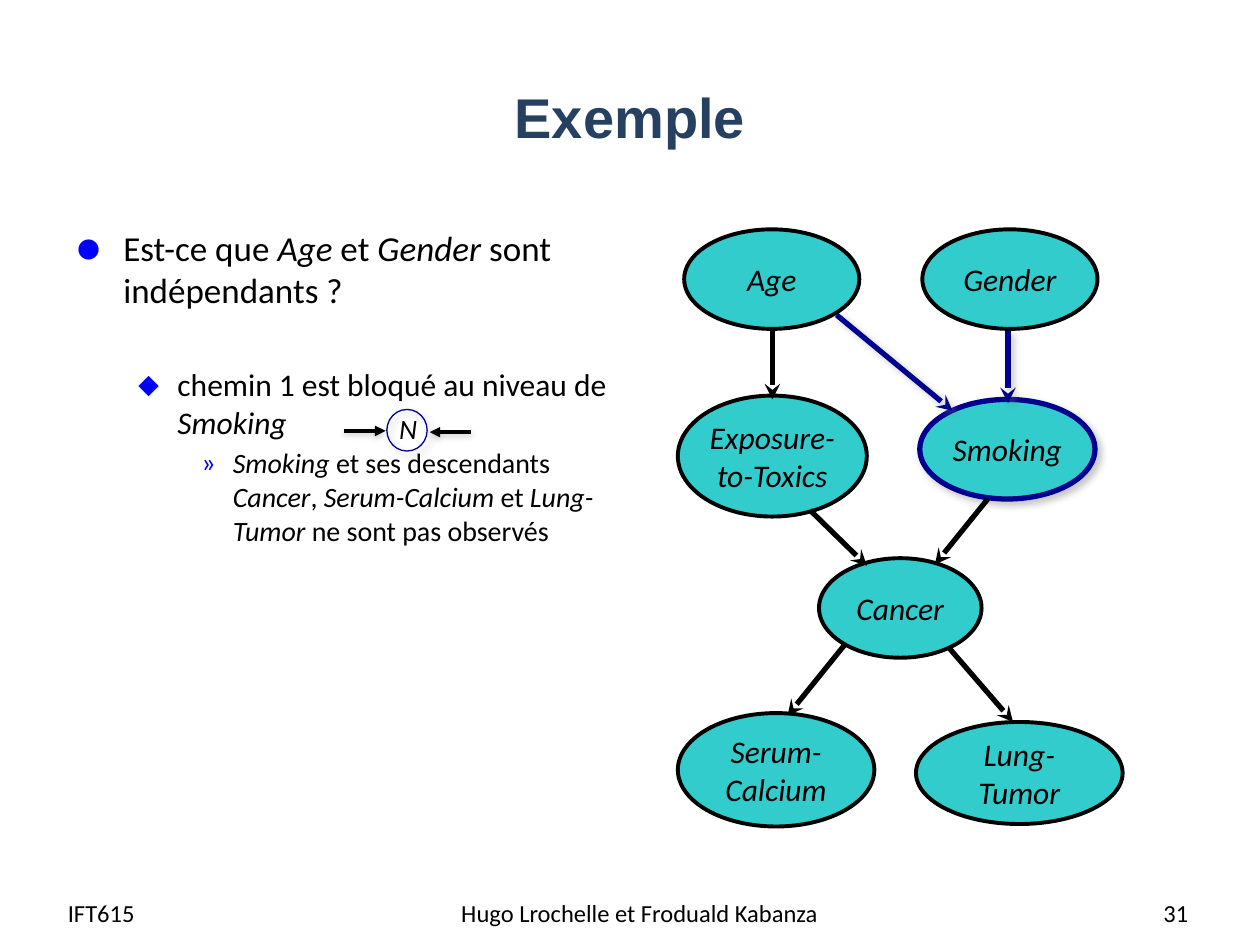
import dataclasses

import lxml.etree
import pptx
import pptx.dml.color
import pptx.enum.shapes
import pptx.enum.text
import pptx.oxml.ns
import pptx.util

COLORS = {"text": "000000", "title": "254061", "bullet": "0000FF", "node": "33CCCC",
          "edge": "000000", "path": "000090", "shadow": "808080"}
COLUMNS, ROWS = 100, 75
CELL = pptx.util.Inches(0.1)
ALIGN = pptx.enum.text.PP_ALIGN
ANCHOR = pptx.enum.text.MSO_ANCHOR
OVAL = pptx.enum.shapes.MSO_SHAPE.OVAL


@dataclasses.dataclass
class Box:
    """A region measured in columns and rows of the slide grid."""
    left: float
    top: float
    width: float
    height: float

    def inner(self, left, top, width, height):
        return Box(self.left + left, self.top + top, width, height)

    def point(self, column, row):
        return round((self.left + column) * CELL), round((self.top + row) * CELL)

    def frame(self):
        return *self.point(0, 0), round(self.width * CELL), round(self.height * CELL)


def rgb(name):
    return pptx.dml.color.RGBColor.from_string(COLORS[name])


def add_xml(parent, tag, **attributes):
    child = lxml.etree.SubElement(parent, pptx.oxml.ns.qn(tag))
    for key, value in attributes.items():
        child.set(key, str(value))
    return child


def write(para, text, size=18, font="Calibri", color="text", bold=False,
          italic=False, align=ALIGN.LEFT):
    """Append text; parts between asterisks switch the italic setting."""
    para.alignment = align
    for index, part in enumerate(text.split("*")):
        if part:
            span = para.add_run()
            span.text = part
            span.font.size = pptx.util.Pt(size)
            span.font.name = font
            span.font.bold = bold
            span.font.italic = italic != (index % 2 == 1)
            span.font.color.rgb = rgb(color)


def add_text(page, box, text, anchor=ANCHOR.MIDDLE, wrap=True, **style):
    frame = page.shapes.add_textbox(*box.frame()).text_frame
    frame.word_wrap = wrap
    frame.vertical_anchor = anchor
    write(frame.paragraphs[0], text, **style)


def set_effect(shape, shadow=None):
    """Replace the theme effect by a (opacity, blur, distance, angle) shadow or none."""
    properties = shape._element.spPr
    effects = properties.find(pptx.oxml.ns.qn("a:effectLst"))
    if effects is None:
        effects = add_xml(properties, "a:effectLst")
    if shadow:
        opacity, blur, distance, angle = shadow
        outer = add_xml(effects, "a:outerShdw", blurRad=pptx.util.Pt(blur),
                        dist=pptx.util.Pt(distance), dir=angle * 60000, rotWithShape=0)
        tint = add_xml(outer, "a:srgbClr", val=COLORS["shadow"])
        add_xml(tint, "a:alpha", val=opacity * 1000)


SOFT = (43, 4, 3, 45)
BELOW = (38, 3.1, 1.6, 90)


def add_node(page, box, label="", fill="node", line="edge", width=2.25, shadow=None):
    node = page.shapes.add_shape(OVAL, *box.frame())
    if fill:
        node.fill.solid()
        node.fill.fore_color.rgb = rgb(fill)
    else:
        node.fill.background()
    node.line.color.rgb = rgb(line)
    node.line.width = pptx.util.Pt(width)
    node.shadow.inherit = False
    set_effect(node, shadow)
    frame = node.text_frame
    frame.word_wrap = False
    frame.vertical_anchor = ANCHOR.MIDDLE
    for index, text in enumerate(label.split("\n")):
        para = frame.add_paragraph() if index else frame.paragraphs[0]
        write(para, text, italic=True, align=ALIGN.CENTER)


def add_arrow(page, box, start, end, color="edge", width=3, head="stealth", shadow=None):
    arrow = page.shapes.add_connector(pptx.enum.shapes.MSO_CONNECTOR.STRAIGHT,
                                      *box.point(*start), *box.point(*end))
    arrow.line.color.rgb = rgb(color)
    arrow.line.width = pptx.util.Pt(width)
    add_xml(arrow.line._get_or_add_ln(), "a:tailEnd", type=head)
    set_effect(arrow, shadow)


def add_bullets(page, box):
    # level, marker, marker size, indent, hanging, space before, text size, text
    items = [
        (0, "●", 125, 0.38, 0.38, 0, 20, "Est-ce que *Age* et *Gender *sont indépendants ?"),
        (1, "◆", 85, 0.81, 0.31, 31, 18, "chemin 1 est bloqué au niveau de *Smoking*"),
        (2, "»", 100, 1.25, 0.25, 3, 16, "*Smoking* et ses descendants *Cancer*, "
         "*Serum-Calcium* et *Lung-Tumor* ne sont pas observés"),
    ]
    frame = page.shapes.add_textbox(*box.frame()).text_frame
    frame.word_wrap = True
    for index, (level, marker, scale, indent, hang, before, size, text) in enumerate(items):
        para = frame.add_paragraph() if index else frame.paragraphs[0]
        para.level = level
        para.space_before = pptx.util.Pt(before)
        write(para, text, size=size)
        properties = para._p.get_or_add_pPr()
        properties.set("marL", str(pptx.util.Inches(indent)))
        properties.set("indent", str(-pptx.util.Inches(hang)))
        add_xml(add_xml(properties, "a:buClr"), "a:srgbClr", val=COLORS["bullet"])
        add_xml(properties, "a:buSzPct", val=scale * 1000)
        add_xml(properties, "a:buFont", typeface="Calibri")
        add_xml(properties, "a:buChar", char=marker)


def add_collider(page, box):
    """Draw the small blocked-path symbol: two arrows meeting at N."""
    for start, end in [((0, 2), (3.3, 2)), ((10.1, 2.1), (6.8, 2.1))]:
        add_arrow(page, box, start, end, width=2, head="triangle", shadow=BELOW)
    add_node(page, box.inner(3.4, 0.3, 3.2, 3.3), fill=None, line="path",
             width=0.75, shadow=SOFT)
    add_text(page, box.inner(3.4, 0, 3.7, 3.7), "N", anchor=ANCHOR.TOP, wrap=False,
             size=16, italic=True)


def add_network(page, box):
    marked = {"line": "path", "width": 3, "shadow": SOFT}
    causes = [
        ("Smoking", (19.2, 13.5, 13.9, 7.9), marked),
        ("Gender", (19.4, 0, 13.9, 7.9), {}),
        ("Age", (0.5, 0, 13.9, 7.9), {}),
        ("Exposure-\nto-Toxics", (0, 13.2, 15, 9.6), {}),
        ("Cancer", (11.2, 26.1, 12.9, 7.9), {}),
    ]
    effects = [
        ("Lung-\nTumor", (18.9, 39.1, 16.4, 8.1), {}),
        ("Serum-\nCalcium", (0, 38.4, 15.6, 9), {}),
    ]
    marked_edges = [((26.2, 8.1), (26.2, 13.8)), ((12.6, 6.8), (21.8, 14.4))]
    edges = [
        ((7.5, 7.8), (7.5, 13.5)),
        ((10.5, 22.3), (15, 26.7)),
        ((24.6, 21.4), (20.4, 26.6)),
        ((21.5, 33.2), (26.6, 39.1)),
        ((13.3, 32.9), (8.7, 38.6)),
    ]
    for label, place, style in causes:
        add_node(page, box.inner(*place), label, **style)
    for start, end in marked_edges:
        add_arrow(page, box, start, end, color="path", shadow=SOFT)
    for start, end in edges:
        add_arrow(page, box, start, end)
    for label, place, style in effects:
        add_node(page, box.inner(*place), label, **style)


def add_footer(page, box):
    parts = [
        (0, 19.3, "IFT615", ALIGN.LEFT),
        (30.3, 31.7, " Hugo Lrochelle et Froduald Kabanza", ALIGN.CENTER),
        (67.6, 23.3, "31", ALIGN.RIGHT),
    ]
    for left, width, text, align in parts:
        add_text(page, box.inner(left, 0, width, box.height), text, size=14, align=align)


def main():
    deck = pptx.Presentation()
    deck.slide_width, deck.slide_height = COLUMNS * CELL, ROWS * CELL
    page = deck.slides.add_slide(deck.slide_layouts[6])
    add_text(page, Box(5, 3, 90, 12.5), "Exemple", size=32, font="Arial",
             color="title", bold=True, align=ALIGN.CENTER)
    add_bullets(page, Box(5, 17.5, 44.2, 49.5))
    add_footer(page, Box(4.4, 70.4, 90.9, 4))
    add_network(page, Box(53.8, 18.2, 35.3, 47.4))
    add_collider(page, Box(27.3, 32.2, 10.1, 3.7))
    deck.save("out.pptx")


if __name__ == "__main__":
    main()
